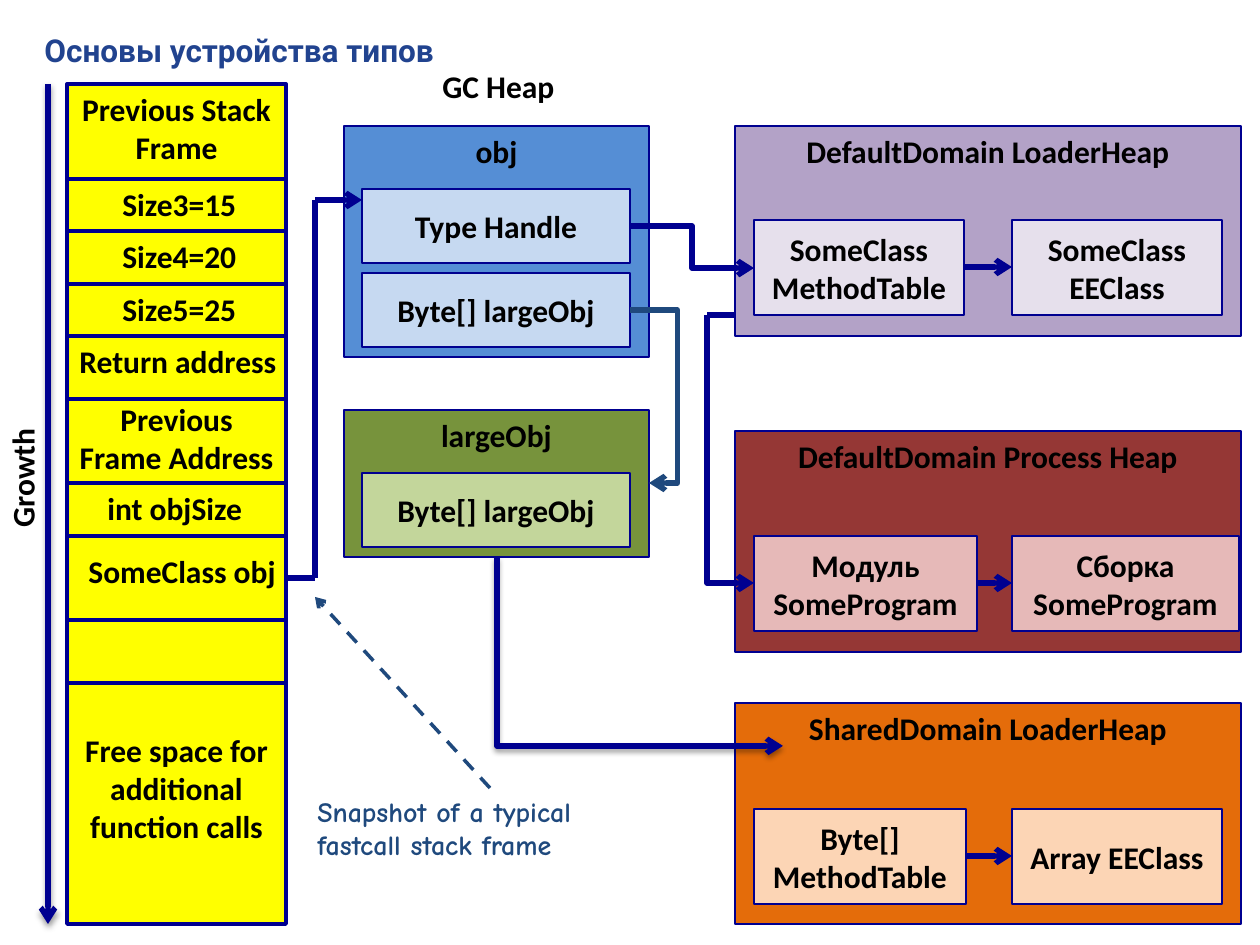
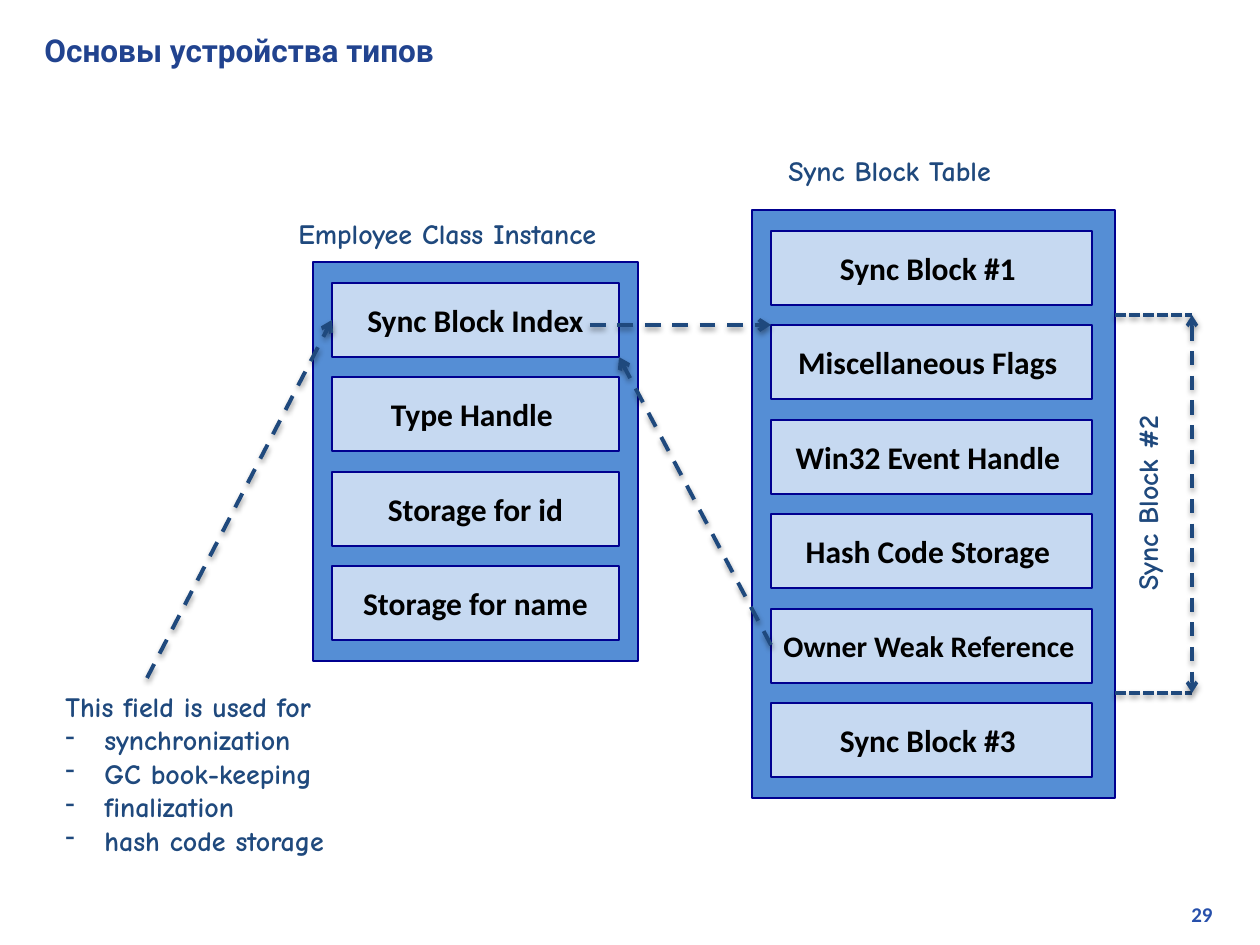
from dataclasses import dataclass

from lxml import etree
from pptx import Presentation
from pptx import util as u
from pptx.dml.color import RGBColor
from pptx.enum import dml, shapes, text
from pptx.oxml import ns

EMU = 914400 / 126  # one px


@dataclass(frozen=True)
class Theme:
    # colours
    head: str = "21438F"
    page: str = "2750AB"
    ink: str = "000000"
    navy: str = "000090"
    note: str = "1F497D"
    stack: str = "FFFF00"
    blue: tuple = ("558ED5", "C6D9F1")
    green: tuple = ("77933C", "C3D69B")
    violet: tuple = ("B3A2C7", "E6E0EC")
    red: tuple = ("953735", "E6B9B8")
    orange: tuple = ("E46C0A", "FCD5B5")
    # fonts and sizes
    body: str = "Calibri"
    hand: str = "Comic Neue"
    title: str = "Roboto"
    big: int = 18
    mid: int = 16
    small: int = 12
    edge: float = 1.5


T = Theme()
NOTE = dict(font=T.hand, size=T.mid, color=T.note)
DASH = dml.MSO_LINE.DASH
DOTS = dml.MSO_LINE.SQUARE_DOT
CENTER = text.PP_ALIGN.CENTER
LEFT = text.PP_ALIGN.LEFT
RIGHT = text.PP_ALIGN.RIGHT
MIDDLE = text.MSO_ANCHOR.MIDDLE
TOP = text.MSO_ANCHOR.TOP


def px(*vals):
    return [u.Emu(round(v * EMU)) for v in vals]


def sub(node, tag, **attrs):
    return etree.SubElement(node, ns.qn(tag), **attrs)


# ---- text ----
def fill_text(frame, lines, font=T.body, size=T.big, color=T.ink, align=LEFT,
              anchor=TOP, after=0, vert=False, bullets=False):
    """Write lines into a frame; with bullets, all but the first get a dash."""
    frame.word_wrap = True
    frame.vertical_anchor = anchor
    if vert:
        frame._txBody.bodyPr.set("vert", "vert270")
    for i, line in enumerate(lines.split("\n")):
        para = frame.paragraphs[0] if i == 0 else frame.add_paragraph()
        para.alignment = align
        para.space_after = u.Pt(after)
        if bullets and i:
            props = para._p.get_or_add_pPr()
            indent = px(39)[0]
            props.set("marL", str(indent))
            props.set("indent", str(-indent))
            sub(props, "a:buChar", char="-")
        run = para.add_run()
        run.text = line
        run.font.name, run.font.size, run.font.bold = font, u.Pt(size), True
        run.font.color.rgb = RGBColor.from_string(color)


def label(slide, x, y, w, h, words, **fmt):
    fill_text(slide.shapes.add_textbox(*px(x, y, w, h)).text_frame, words, **fmt)


# ---- boxes ----
def box(slide, x, y, w, h, fill, words="", edge=T.edge, **fmt):
    shape = slide.shapes.add_shape(shapes.MSO_SHAPE.RECTANGLE, *px(x, y, w, h))
    shape.shadow.inherit = False
    shape.fill.solid()
    shape.fill.fore_color.rgb = RGBColor.from_string(fill)
    shape.line.color.rgb = RGBColor.from_string(T.navy)
    shape.line.width = u.Pt(edge)
    if words:
        fill_text(shape.text_frame, words, **{"align": CENTER, **fmt})


def panel(slide, x, y, w, h, tones, name, cells):
    """A named box that holds cells given as (x, y, w, h, words)."""
    box(slide, x, y, w, h, tones[0], name, after=10)
    for *place, words in cells:
        box(slide, *place, tones[1], words, anchor=MIDDLE, after=10)


def column(slide, x, y, w, h, inner, names):
    """A box with evenly stacked cells; inner is their left and width."""
    box(slide, x, y, w, h, T.blue[0])
    left, wide = inner
    for i, name in enumerate(names):
        fmt = dict(size=17, align=LEFT) if name.startswith("Owner") else {}
        box(slide, left, y + 21 + 189 * i // 2, wide, 74, T.blue[1], name,
            anchor=MIDDLE, **fmt)


# ---- lines ----
def link(slide, start, end, color=T.navy, width=3, dash=None, head=False,
         tail=False, shade=False, bend=None, corner=False):
    """Straight line; bend gives an elbow, corner a single right-angle turn."""
    kind = shapes.MSO_CONNECTOR
    kind = kind.ELBOW if corner or bend is not None else kind.STRAIGHT
    line = slide.shapes.add_connector(kind, *px(*start, *end))
    line.line.color.rgb = RGBColor.from_string(color)
    line.line.width = u.Pt(width)
    if dash:
        line.line.dash_style = dash
    props = line._element.spPr
    geom = props.find(ns.qn("a:prstGeom"))
    if corner:
        geom.set("prst", "bentConnector2")
    elif bend is not None:
        guides = geom.find(ns.qn("a:avLst"))
        if guides is None:
            guides = sub(geom, "a:avLst")
        sub(guides, "a:gd", name="adj1", fmla=f"val {round(bend * 100000)}")
    stroke = props.find(ns.qn("a:ln"))
    for on, tag in ((head, "a:headEnd"), (tail, "a:tailEnd")):
        if on:
            sub(stroke, tag, type="arrow")
    effect = sub(props, "a:effectLst")
    if shade:
        cast = sub(effect, "a:outerShdw", blurRad="40000", dist="20000",
                   dir="5400000", rotWithShape="0")
        sub(sub(cast, "a:srgbClr", val="000000"), "a:alpha", val="38000")


def begin(deck):
    slide = deck.slides.add_slide(deck.slide_layouts[6])
    label(slide, 32, 25, 1191, 49, "Основы устройства типов",
          font=T.title, color=T.head, anchor=MIDDLE)
    return slide


# ---- slide 1: stack and heaps ----
def draw_stack(slide):
    box(slide, 67, 84, 219, 840, T.stack, "Previous Stack Frame",
        edge=2.25, after=10)
    for y in (179, 231, 284, 336, 399, 483, 536, 620, 683):
        link(slide, (67, y), (286, y), width=2)
    for i, words in enumerate(("Size3=15", "Size4=20", "Size5=25")):
        label(slide, 110, 179 + 105 * i // 2, 150, 50, words)
    label(slide, 67, 336, 238, 53, "Return address")
    label(slide, 67, 394, 219, 89, "Previous Frame Address", align=CENTER)
    label(slide, 95, 483, 189, 50, "int objSize")
    label(slide, 76, 546, 219, 50, "SomeClass obj")
    label(slide, 67, 725, 219, 127,
          "Free space for additional function calls", align=CENTER)
    link(slide, (48, 84), (48, 924), tail=True, shade=True)
    label(slide, -3, 347, 63, 262, "Growth", align=CENTER, vert=True)


def draw_heaps(slide):
    label(slide, 430, 61, 150, 50, "GC Heap")
    panel(slide, 344, 126, 305, 231, T.blue, "obj",
          [(362, 189, 268, 74, "Type Handle"),
           (362, 273, 268, 74, "Byte[] largeObj")])
    panel(slide, 344, 410, 305, 147, T.green, "largeObj",
          [(362, 473, 268, 74, "Byte[] largeObj")])
    domains = [
        (126, 210, T.violet, "DefaultDomain LoaderHeap", 220,
         (210, "SomeClass MethodTable"), (210, "SomeClass EEClass")),
        (431, 221, T.red, "DefaultDomain Process Heap", 536,
         (223, "Модуль SomeProgram"), (227, "Сборка SomeProgram")),
        (703, 221, T.orange, "SharedDomain LoaderHeap", 809,
         (212, "Byte[] MethodTable"), (210, "Array EEClass")),
    ]
    for y, h, tones, name, row, (w1, first), (w2, second) in domains:
        panel(slide, 735, y, 506, h, tones, name,
              [(754, row, w1, 95, first), (1012, row, w2, 95, second)])
        link(slide, (754 + w1, row + 47), (1012, row + 47), tail=True)


def draw_stack_slide(deck):
    slide = begin(deck)
    draw_stack(slide)
    draw_heaps(slide)
    # stack slot to obj
    link(slide, (286, 578), (315, 578))
    link(slide, (315, 578), (315, 200))
    link(slide, (315, 200), (362, 200), tail=True)
    # fields to their targets
    link(slide, (630, 310), (649, 483), color=T.note, tail=True, bend=2.5)
    link(slide, (630, 226), (754, 268), tail=True, bend=0.5)
    link(slide, (735, 315), (707, 315))
    link(slide, (754, 583), (707, 315), head=True, corner=True)
    link(slide, (783, 746), (497, 557), head=True, corner=True, shade=True)
    # note
    label(slide, 305, 788, 369, 81,
          "Snapshot of a typical\nfastcall stack frame", **NOTE)
    link(slide, (490, 788), (315, 597), color=T.note, width=2, dash=DASH,
         tail=True)


# ---- slide 2: sync blocks ----
def draw_sync_slide(deck):
    slide = begin(deck)
    label(slide, 958, 895, 267, 38, "29", size=T.small, color=T.page,
          align=RIGHT)
    label(slide, 286, 210, 420, 47, "Employee Class Instance", **NOTE)
    column(slide, 313, 262, 325, 399, (332, 287),
           ["Sync Block Index", "Type Handle ", "Storage for id",
            "Storage for name"])
    label(slide, 776, 147, 301, 47, "Sync Block Table", **NOTE)
    column(slide, 752, 210, 363, 588, (771, 321),
           ["Sync Block #1 ", "Miscellaneous Flags ", "Win32 Event Handle ",
            "Hash Code Storage ", "Owner Weak Reference", "Sync Block #3 "])
    # references
    for start, end in (((590, 325), (771, 325)), ((771, 645), (619, 357)),
                       ((147, 678), (332, 320))):
        link(slide, start, end, color=T.note, width=2.25, dash=DASH,
             tail=True, shade=True)
    # extent of block 2
    for y in (315, 693):
        link(slide, (1115, y), (1192, y), color=T.note, width=2, dash=DOTS,
             shade=True)
    link(slide, (1192, 315), (1192, 693), color=T.note, width=2, dash=DASH,
         head=True, tail=True, shade=True)
    label(slide, 1124, 378, 59, 241, "Sync Block #2 ", align=CENTER,
          vert=True, **NOTE)
    label(slide, 53, 683, 522, 183,
          "This field is used for\nsynchronization\nGC book-keeping\n"
          "finalization\nhash code storage", bullets=True, **NOTE)


def main():
    deck = Presentation()
    deck.slide_width, deck.slide_height = px(1260, 945)
    draw_stack_slide(deck)
    draw_sync_slide(deck)
    deck.save("out.pptx")


if __name__ == "__main__":
    main()
